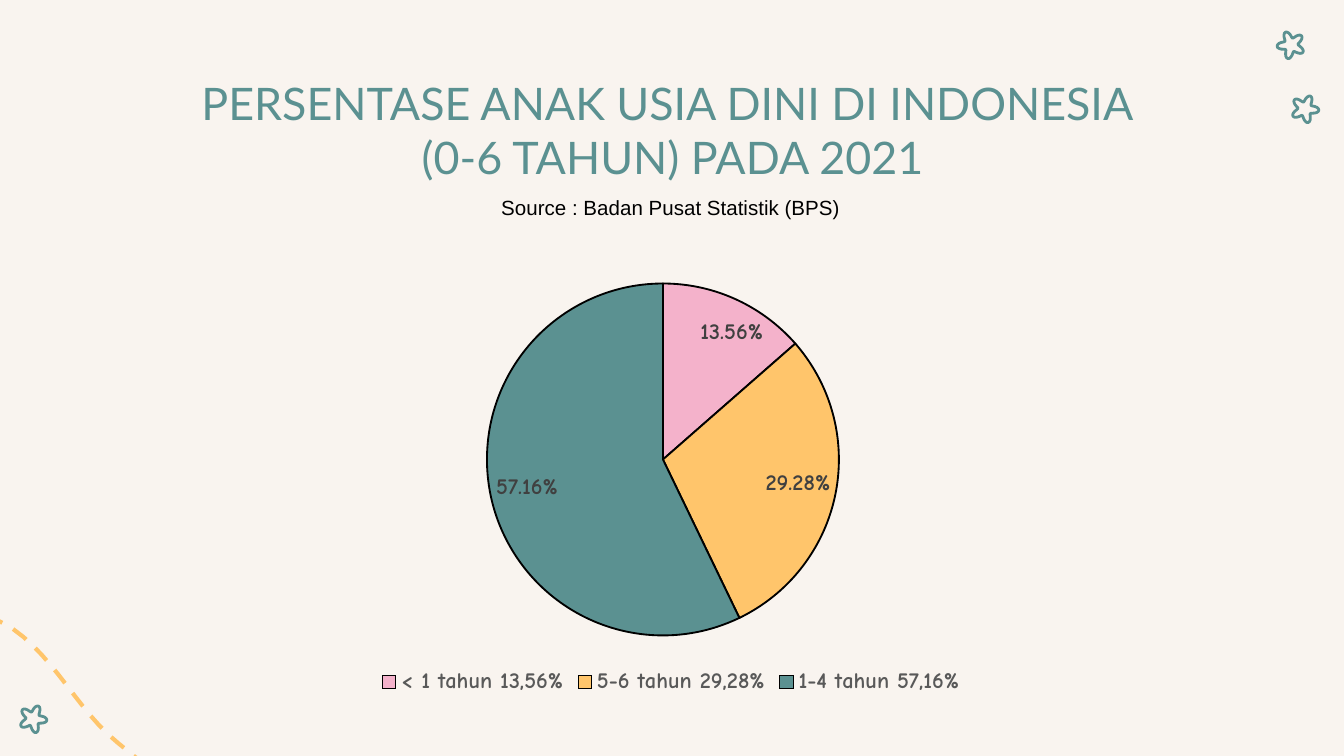
from math import cos, radians, sin

from lxml.etree import SubElement
from pptx import Presentation
from pptx.chart.data import CategoryChartData
from pptx.dml.color import RGBColor
from pptx.enum.chart import XL_CHART_TYPE, XL_LABEL_POSITION, XL_LEGEND_POSITION
from pptx.enum.dml import MSO_LINE
from pptx.enum.text import MSO_ANCHOR, MSO_AUTO_SIZE, PP_ALIGN
from pptx.oxml.ns import qn
from pptx.util import Pt

SCALE = 914400 / 134.4
TEAL, YELLOW, PINK, BLACK = "5B9191", "FFC56B", "F4B2CB", "000000"
STARS = [(1291, 45, 31), (1305, 109, 5), (33, 719, 5)]
WAVE_START = (-70, 603)
WAVE_CURVES = [
    ((-42, 609), (-11, 613), (13, 629)),
    ((56, 659), (78, 711), (118, 743)),
    ((145, 765), (172, 788), (202, 802)),
    ((220, 812), (243, 810), (257, 825)),
]
AGE_GROUPS = [
    ("< 1 tahun 13,56%", 0.1356, PINK),
    ("5-6 tahun 29,28%", 0.2928, YELLOW),
    ("1-4 tahun 57,16%", 0.5716, TEAL),
]
PLOT_LAYOUT = {"x": 0.27, "y": 0.09, "w": 0.44, "h": 0.77}


def px(length):
    return round(length * SCALE)


def color(value):
    return RGBColor.from_string(value)


def apply_format(target, values):
    for name, value in values.items():
        setattr(target, name, value)


def format_font(font, name, size, font_color, bold=False):
    apply_format(font, {"name": name, "size": Pt(size), "bold": bold})
    font.color.rgb = color(font_color)


def add_text(slide, box, text, font, frame_format, alignment):
    shape = slide.shapes.add_textbox(*map(px, box))
    frame = shape.text_frame
    apply_format(frame, frame_format)
    paragraph = frame.paragraphs[0]
    paragraph.text = text
    paragraph.alignment = alignment
    for run in paragraph.runs:
        format_font(run.font, *font)


def add_outline(slide, points, line_color, width, closed):
    grid = 10
    start, *rest = [(round(x * grid), round(y * grid)) for x, y in points]
    builder = slide.shapes.build_freeform(*start, scale=SCALE / grid)
    builder.add_line_segments(rest, close=closed)
    shape = builder.convert_to_shape()
    shape.shadow.inherit = False
    shape.fill.background()
    shape.line.color.rgb = color(line_color)
    shape.line.width = Pt(width)
    return shape


def add_star(slide, center_x, center_y, turn):
    points = []
    for angle in range(0, 360, 6):
        radius = 10.5 + 3.5 * cos(radians(5 * angle))
        direction = radians(angle + turn)
        points.append((center_x + radius * cos(direction), center_y + radius * sin(direction)))
    add_outline(slide, points, TEAL, 1.5, True)


def curve_points(start, curves, steps=12):
    points = [start]
    for first, second, end in curves:
        corners = (points[-1], first, second, end)
        for step in range(1, steps + 1):
            t = step / steps
            weights = ((1 - t) ** 3, 3 * t * (1 - t) ** 2, 3 * t * t * (1 - t), t ** 3)
            points.append(tuple(
                sum(weight * corner[axis] for weight, corner in zip(weights, corners))
                for axis in (0, 1)
            ))
    return points


def set_plot_layout(chart):
    plot_area = chart.plots[0]._element.getparent()
    layout = plot_area.find(qn("c:layout"))
    if layout is None:
        layout = SubElement(plot_area, qn("c:layout"))
        plot_area.insert(0, layout)
    manual = SubElement(layout, qn("c:manualLayout"))
    settings = {"layoutTarget": "inner", "xMode": "edge", "yMode": "edge", **PLOT_LAYOUT}
    for name, value in settings.items():
        SubElement(manual, qn(f"c:{name}")).set("val", str(value))


def add_pie(slide, box):
    data = CategoryChartData(number_format="0.00%")
    data.categories = [name for name, _, _ in AGE_GROUPS]
    data.add_series("Series 1", [value for _, value, _ in AGE_GROUPS])
    chart = slide.shapes.add_chart(XL_CHART_TYPE.PIE, *map(px, box), data).chart
    format_font(chart.font, "Arial", 10, BLACK)
    apply_format(chart, {"has_title": False, "has_legend": True})
    apply_format(chart.legend, {"position": XL_LEGEND_POSITION.BOTTOM, "include_in_layout": False})
    format_font(chart.legend.font, "Comic Neue", 12, "595959", True)
    plot = chart.plots[0]
    apply_format(plot, {"vary_by_categories": True, "has_data_labels": True})
    apply_format(plot.data_labels, {
        "show_value": True,
        "show_percentage": False,
        "number_format": "0.00%",
        "number_format_is_linked": False,
        "position": XL_LABEL_POSITION.BEST_FIT,
    })
    format_font(plot.data_labels.font, "Comic Neue", 12, "404040", True)
    for index, (_, _, fill_color) in enumerate(AGE_GROUPS):
        slice_format = plot.series[0].points[index].format
        slice_format.fill.solid()
        slice_format.fill.fore_color.rgb = color(fill_color)
        slice_format.line.color.rgb = color(BLACK)
        slice_format.line.width = Pt(1)
    set_plot_layout(chart)


def main():
    presentation = Presentation()
    apply_format(presentation, {"slide_width": px(1344), "slide_height": px(756)})
    slide = presentation.slides.add_slide(presentation.slide_layouts[6])
    slide.background.fill.solid()
    slide.background.fill.fore_color.rgb = color("F9F4EF")

    wave = add_outline(slide, curve_points(WAVE_START, WAVE_CURVES), YELLOW, 2.25, False)
    wave.line.dash_style = MSO_LINE.DASH
    for star in STARS:
        add_star(slide, *star)

    margins = {f"margin_{side}": px(13) for side in ("left", "top", "right", "bottom")}
    add_text(
        slide, (106, 63, 1133, 180),
        "PERSENTASE ANAK USIA DINI DI INDONESIA \v(0-6 TAHUN) PADA 2021",
        ("Lato", 24, TEAL),
        {"word_wrap": True, "vertical_anchor": MSO_ANCHOR.TOP, **margins},
        PP_ALIGN.CENTER,
    )
    add_pie(slide, (271, 242, 800, 458))
    add_text(
        slide, (488, 188, 368, 39),
        "Source : Badan Pusat Statistik (BPS)",
        ("Arial", 11, BLACK),
        {"word_wrap": False, "auto_size": MSO_AUTO_SIZE.SHAPE_TO_FIT_TEXT},
        PP_ALIGN.LEFT,
    )
    presentation.save("out.pptx")


if __name__ == "__main__":
    main()
